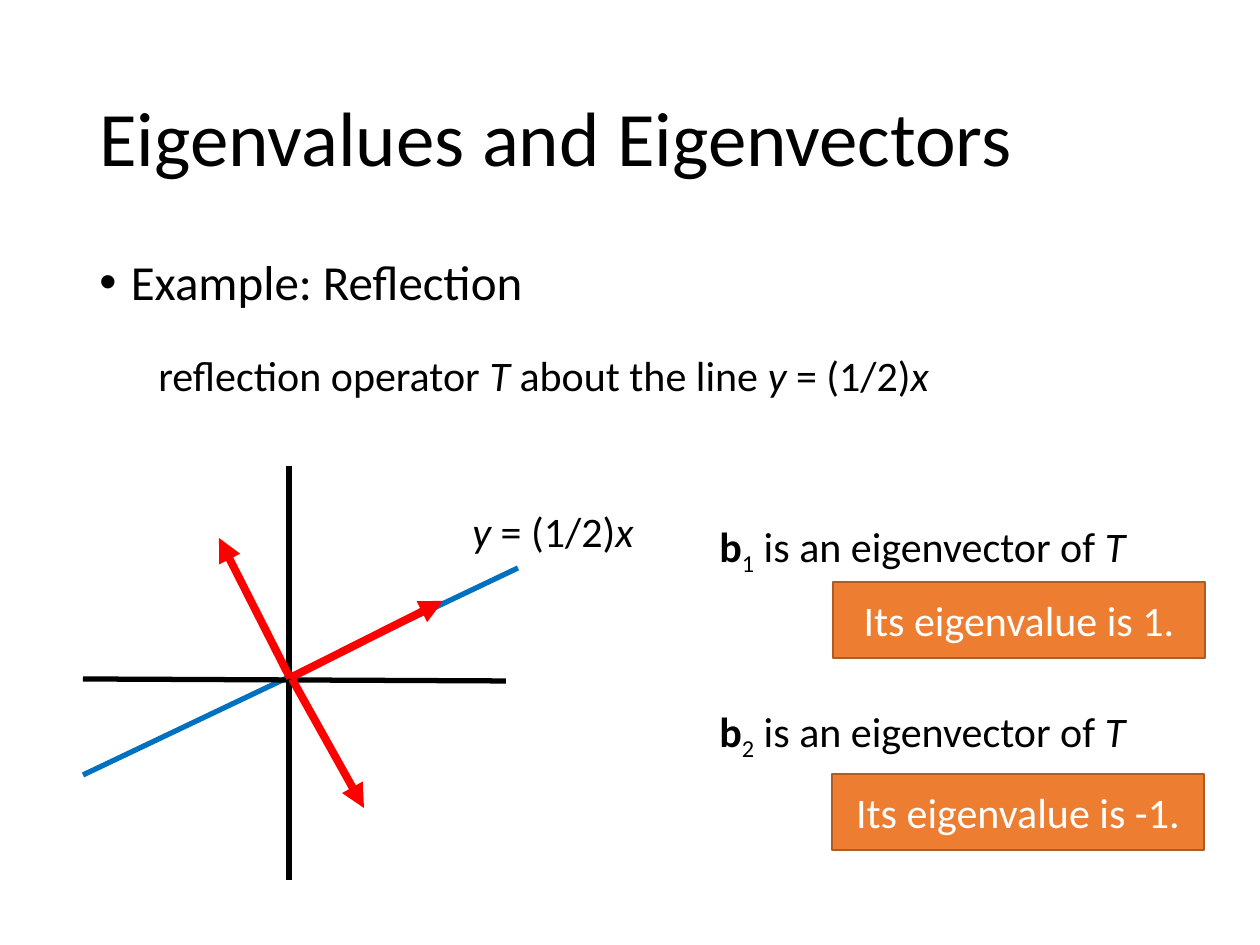
from lxml.etree import SubElement
from pptx import Presentation
from pptx.dml.color import RGBColor
from pptx.enum.shapes import MSO_CONNECTOR, MSO_SHAPE
from pptx.enum.text import MSO_ANCHOR, PP_ALIGN
from pptx.oxml.ns import qn
from pptx.util import Pt

PX = 914400 // 126
color = RGBColor.from_string


def write(shape, runs, size, ink="000000", wrap=True, anchor=MSO_ANCHOR.TOP):
    frame = shape.text_frame
    frame.word_wrap = wrap
    frame.vertical_anchor = anchor
    paragraph = frame.paragraphs[0]
    paragraph.font.name = "Calibri"
    paragraph.font.size = Pt(size)
    paragraph.font.color.rgb = color(ink)
    for text, style in runs:
        run = paragraph.add_run()
        run.text = text
        if style == "italic":
            run.font.italic = True
        elif style == "bold":
            run.font.bold = True
        elif style == "subscript":
            run.font._element.set("baseline", "-25000")
    return paragraph


def add_text(left, top, width, height, runs, size, **options):
    box = slide.shapes.add_textbox(left * PX, top * PX, width * PX, height * PX)
    return write(box, runs, size, **options)


presentation = Presentation()
presentation.slide_width = 1260 * PX
presentation.slide_height = 945 * PX
slide = presentation.slides.add_slide(presentation.slide_layouts[6])

title = add_text(87, 50, 1086, 183, [("Eigenvalues and Eigenvectors", "")], 44,
                 anchor=MSO_ANCHOR.MIDDLE)
title.line_spacing = 0.9

example = add_text(87, 252, 1086, 600, [("Example: Reflection", "")], 28)
example.line_spacing = 0.9
properties = example._p.get_or_add_pPr()
properties.set("marL", "228600")
properties.set("indent", "-228600")
bullet_font = properties.makeelement(qn("a:buFont"), {"typeface": "Arial"})
bullet = properties.makeelement(qn("a:buChar"), {"char": "•"})
properties.find(qn("a:defRPr")).addprevious(bullet_font)
bullet_font.addnext(bullet)

add_text(146, 343, 804, 63, [
    ("reflection operator ", ""), ("T", "italic"), (" about the line ", ""),
    ("y", "italic"), (" = (1/2)", ""), ("x", "italic")], 24, wrap=False)
add_text(460, 499, 188, 63, [
    ("y", "italic"), (" = (1/2)", ""), ("x", "italic")], 24, wrap=False)

for index, top in [("1", 514), ("2", 699)]:
    add_text(707, top, 490, 63, [
        ("b", "bold"), (index, "subscript"),
        (" is an eigenvector of ", ""), ("T", "italic")], 24)

lines = [
    (518, 568, 83, 775, "0070C0", 3, False),
    (289, 466, 289, 880, "000000", 3, False),
    (506, 681, 83, 679, "000000", 3, False),
    (290, 678, 443, 601, "FF0000", 4.5, True),
    (290, 678, 219, 538, "FF0000", 4.5, True),
    (292, 679, 364, 808, "FF0000", 4.5, True),
]
for x1, y1, x2, y2, ink, weight, arrow in lines:
    connector = slide.shapes.add_connector(
        MSO_CONNECTOR.STRAIGHT, x1 * PX, y1 * PX, x2 * PX, y2 * PX)
    connector.line.color.rgb = color(ink)
    connector.line.width = Pt(weight)
    if arrow:
        SubElement(connector.line._get_or_add_ln(), qn("a:tailEnd"), type="triangle")
    SubElement(connector._element.spPr, qn("a:effectLst"))

for left, top, value in [(833, 582, "1"), (832, 774, "-1")]:
    shape = slide.shapes.add_shape(
        MSO_SHAPE.RECTANGLE, left * PX, top * PX, 372 * PX, 76 * PX)
    shape.shadow.inherit = False
    shape.fill.solid()
    shape.fill.fore_color.rgb = color("ED7D31")
    shape.line.color.rgb = color("AF5C24")
    shape.line.width = Pt(1)
    answer = write(shape, [(f"Its eigenvalue is {value}.", "")], 24,
                   ink="FFFFFF", anchor=MSO_ANCHOR.MIDDLE)
    answer.alignment = PP_ALIGN.CENTER

presentation.save("out.pptx")
